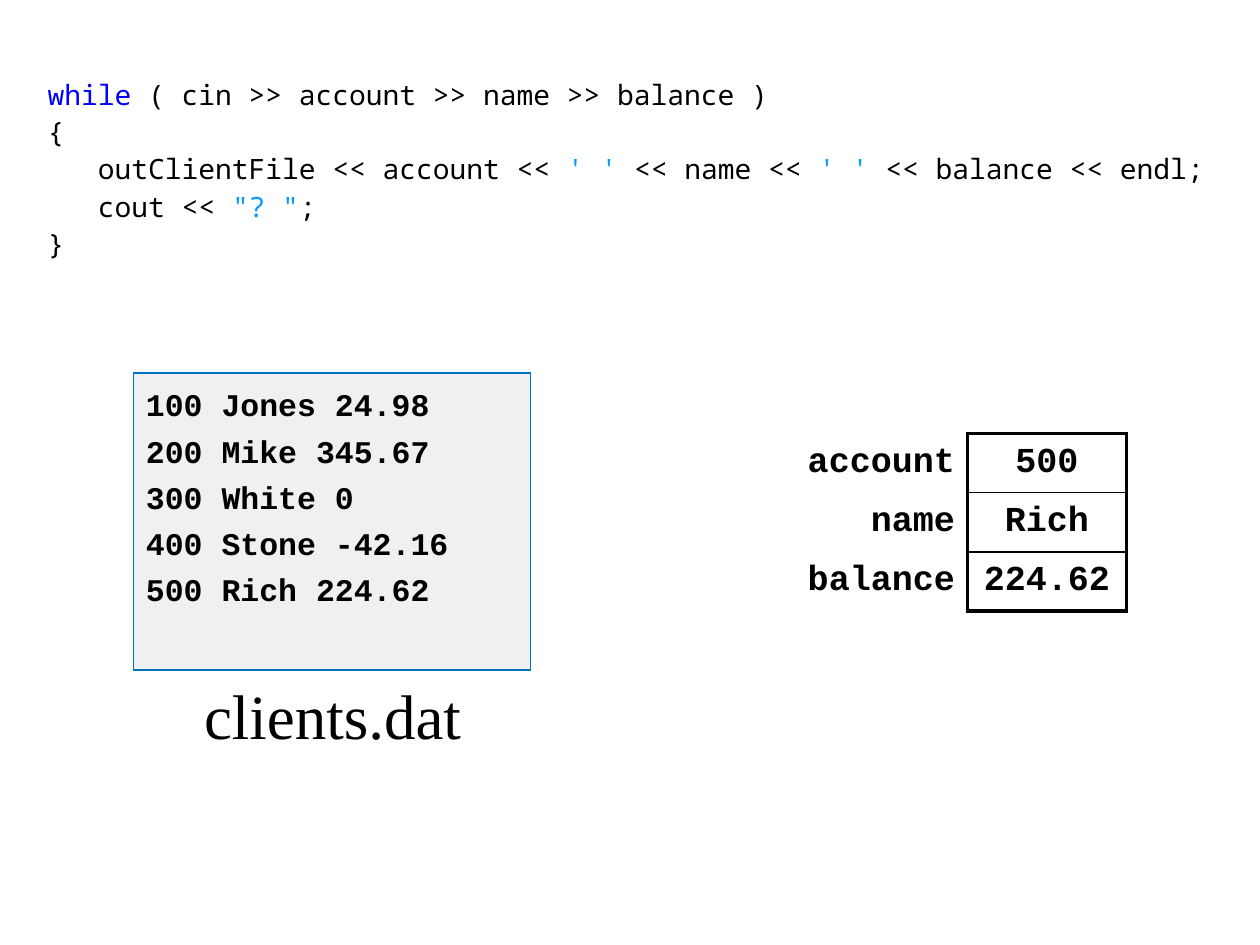
"""Build a slide showing a file-writing loop, its output file and its variables."""
import pptx
import pptx.dml.color
import pptx.enum.shapes
import pptx.enum.text
import pptx.oxml
import pptx.oxml.ns
import pptx.util

Inches = pptx.util.Inches
Pt = pptx.util.Pt
ALIGN = pptx.enum.text.PP_ALIGN

COLORS = {
    "text": "000000",
    "keyword": "0000FF",
    "literal": "0099FF",
    "file_fill": "F0F0F2",
    "file_line": "0070C0",
}
CODE = [
    [("while", "keyword"), (" ( cin >> account >> name >> balance )", "text")],
    [("{", "text")],
    [
        ("   outClientFile << account << ", "text"),
        ("' '", "literal"),
        (" << name << ", "text"),
        ("' '", "literal"),
        (" << balance << endl;", "text"),
    ],
    [("   cout << ", "text"), ('"? "', "literal"), (";", "text")],
    [("}", "text")],
]
RECORDS = [
    "100 Jones 24.98",
    "200 Mike 345.67",
    "300 White 0",
    "400 Stone -42.16",
    "500 Rich 224.62",
]
VARIABLES = [("account", "500"), ("name", "Rich"), ("balance", "224.62")]
COLUMN_WIDTHS = [1.42, 1.26]
ROW_HEIGHT = 0.47
OUTER, INNER = 2.25, 1


def color(name):
    return pptx.dml.color.RGBColor.from_string(COLORS[name])


def style(font, face, size, bold=False, shade="text"):
    font.name = face
    font.size = Pt(size)
    font.bold = bold
    font.color.rgb = color(shade)


def add_paragraphs(frame, count, gap):
    for index in range(count):
        para = frame.paragraphs[0] if index == 0 else frame.add_paragraph()
        para.alignment = ALIGN.LEFT
        if index:
            para.space_before = Pt(gap)
        yield para


def add_code(slide):
    box = slide.shapes.add_textbox(Inches(0.28), Inches(0.6), Inches(9.45), Inches(1.73))
    frame = box.text_frame
    frame.word_wrap = True
    for para, line in zip(add_paragraphs(frame, len(CODE), 4.4), CODE):
        para.line_spacing = 0.88
        for text, shade in line:
            span = para.add_run()
            span.text = text
            style(span.font, "Noto Sans Mono", 16, shade=shade)


def set_borders(cell, widths):
    properties = cell._tc.get_or_add_tcPr()
    namespace = pptx.oxml.ns.nsdecls("a")
    for index, side in enumerate("LRTB"):
        width = widths.get(side)
        paint = (
            f'<a:solidFill><a:srgbClr val="{COLORS["text"]}"/></a:solidFill>'
            if width else "<a:noFill/>"
        )
        line = pptx.oxml.parse_xml(
            f'<a:ln{side} {namespace} w="{int(Pt(width or 0))}">{paint}</a:ln{side}>'
        )
        properties.insert(index, line)


def add_variables(slide):
    count = len(VARIABLES)
    frame = slide.shapes.add_table(
        count, 2, Inches(6.26), Inches(3.44),
        Inches(sum(COLUMN_WIDTHS)), Inches(ROW_HEIGHT * count),
    )
    table = frame.table
    table.first_row = False
    table.horz_banding = False
    for column, width in zip(table.columns, COLUMN_WIDTHS):
        column.width = Inches(width)
    for row, texts in enumerate(VARIABLES):
        table.rows[row].height = Inches(ROW_HEIGHT)
        value_borders = {
            "L": OUTER,
            "R": OUTER,
            "T": OUTER if row == 0 else INNER,
            "B": OUTER if row == count - 1 else INNER,
        }
        layout = [(ALIGN.RIGHT, {"R": OUTER}), (ALIGN.CENTER, value_borders)]
        for column, (text, (alignment, borders)) in enumerate(zip(texts, layout)):
            cell = table.cell(row, column)
            cell.fill.background()
            cell.vertical_anchor = pptx.enum.text.MSO_ANCHOR.MIDDLE
            para = cell.text_frame.paragraphs[0]
            para.text = text
            para.alignment = alignment
            style(para.runs[0].font, "Courier New", 20, bold=True)
            set_borders(cell, borders)


def add_file(slide):
    box = slide.shapes.add_shape(
        pptx.enum.shapes.MSO_SHAPE.RECTANGLE,
        Inches(1.06), Inches(2.96), Inches(3.15), Inches(2.36),
    )
    box.shadow.inherit = False
    box.fill.solid()
    box.fill.fore_color.rgb = color("file_fill")
    box.line.color.rgb = color("file_line")
    box.line.width = Pt(1)
    frame = box.text_frame
    frame.word_wrap = True
    frame.vertical_anchor = pptx.enum.text.MSO_ANCHOR.TOP
    frame.margin_left = frame.margin_right = Inches(0.1)
    frame.margin_top = frame.margin_bottom = Inches(0.1)
    for para, record in zip(add_paragraphs(frame, len(RECORDS), 4.7), RECORDS):
        para.text = record
        style(para.runs[0].font, "Courier New", 18, bold=True)

    label = slide.shapes.add_textbox(Inches(1.38), Inches(5.32), Inches(2.52), Inches(0.79))
    label.text_frame.word_wrap = False
    para = label.text_frame.paragraphs[0]
    para.text = "clients.dat"
    para.alignment = ALIGN.CENTER
    style(para.runs[0].font, "Times New Roman", 36)


def main():
    deck = pptx.Presentation()
    deck.slide_width = Inches(10)
    deck.slide_height = Inches(7.5)
    slide = deck.slides.add_slide(deck.slide_layouts[6])
    add_code(slide)
    add_variables(slide)
    add_file(slide)
    deck.save("out.pptx")


if __name__ == "__main__":
    main()
